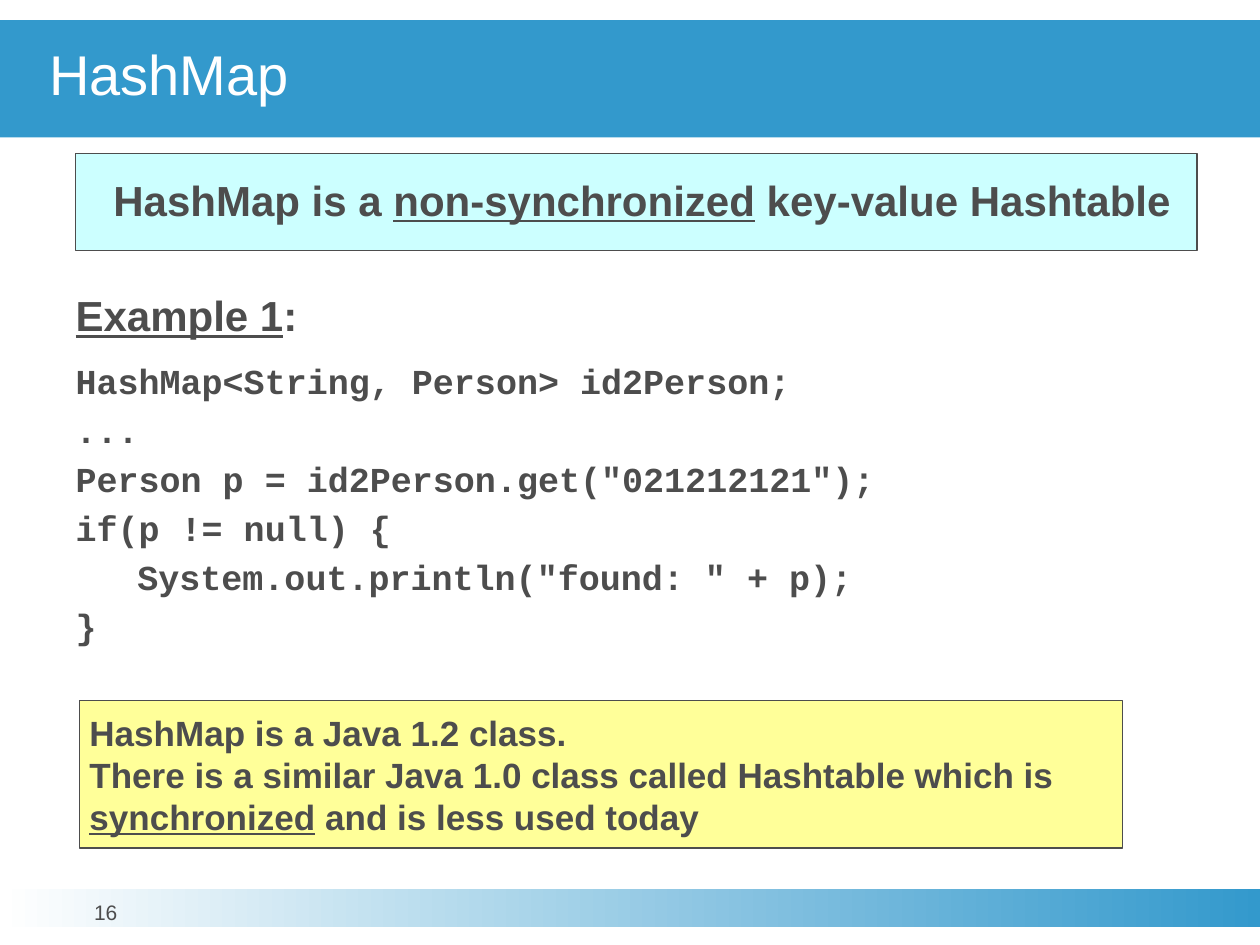
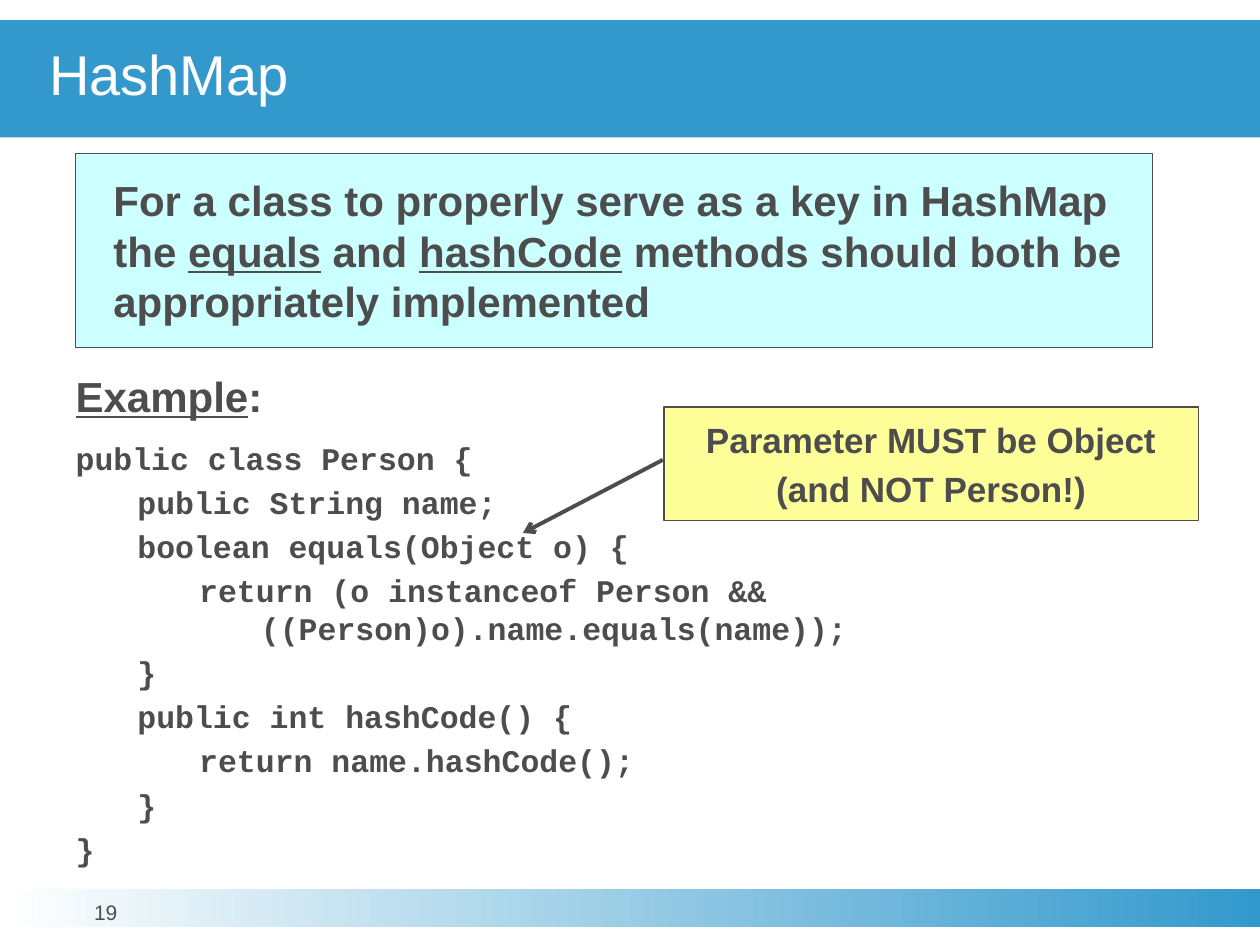
import pptx
import pptx.util
import pptx.dml.color
import pptx.enum.shapes
import pptx.enum.text
import pptx.oxml.ns
from lxml import etree

Pt = pptx.util.Pt
RGB = pptx.dml.color.RGBColor.from_string
RECT = pptx.enum.shapes.MSO_SHAPE.RECTANGLE
LINE = pptx.enum.shapes.MSO_CONNECTOR.STRAIGHT
ALIGN = pptx.enum.text.PP_ALIGN
ANCHOR = pptx.enum.text.MSO_ANCHOR
NO_FIT = pptx.enum.text.MSO_AUTO_SIZE.NONE
qn = pptx.oxml.ns.qn

COLORS = {"blue": "3399CC", "text": "4D4D4D", "white": "FFFFFF",
          "cyan": "CCFFFF", "yellow": "FFFF99"}
TAB = 35.3


def add_text(tf, text, size=20, font="Arial", color="text", bold=True, align=ALIGN.LEFT,
             before=0, level=0, spacing=None):
    p = tf.paragraphs[0]
    if p.runs:
        p = tf.add_paragraph()
    pPr = p._p.get_or_add_pPr()
    pPr.set("marL", str(Pt(level * TAB)))
    pPr.set("indent", "0")
    etree.SubElement(pPr, qn("a:buNone"))
    p.alignment = align
    p.space_before = Pt(before)
    p.line_spacing = spacing or Pt(1.2 * size)
    for i, part in enumerate(text.split("_")):
        if part:
            r = p.add_run()
            r.text = part
            r.font.name = font
            r.font.size = Pt(size)
            r.font.bold = bold
            r.font.underline = i % 2 == 1
            r.font.color.rgb = RGB(COLORS[color])


def add_box(s, box, fill, insets, anchor):
    sp = s.shapes.add_shape(RECT, *map(Pt, box))
    sp.shadow.inherit = False
    sp.fill.solid()
    sp.fill.fore_color.rgb = RGB(COLORS[fill])
    sp.line.color.rgb = RGB(COLORS["text"])
    sp.line.width = Pt(0.75)
    tf = sp.text_frame
    tf.word_wrap = True
    tf.vertical_anchor = anchor
    tf.margin_left, tf.margin_top, tf.margin_right, tf.margin_bottom = map(Pt, insets)
    return tf


SLIDES = [
    {"number": "16",
     "rule": "HashMap is a _non-synchronized_ key-value Hashtable",
     "rule_box": (43.2, 87.84, 640.8, 55.44),
     "example": "_Example 1_:",
     "body_box": (36, 162, 657.4, 226),
     "code_size": 20,
     "code": [(0, "HashMap<String, Person> id2Person;"),
              (0, "..."),
              (0, 'Person p = id2Person.get("021212121");'),
              (0, "if(p != null) {"),
              (1, 'System.out.println("found: " + p);'),
              (0, "}")],
     "note_box": (45.36, 400.32, 596.16, 84.24),
     "note": ["HashMap is a Java 1.2 class.",
              "There is a similar Java 1.0 class called Hashtable which is "
              "_synchronized_ and is less used today"],
     "note_align": ALIGN.LEFT,
     "note_gap": 0,
     "arrow": None},
    {"number": "19",
     "rule": "For a class to properly serve as a key in HashMap the _equals_ and "
             "_hashCode_ methods should both be appropriately implemented",
     "rule_box": (43.2, 87.84, 615.6, 110.88),
     "example": "_Example_:",
     "body_box": (36, 208.1, 657.4, 296),
     "code_size": 18,
     "code": [(0, "public class Person {"),
              (1, "public String name;"),
              (1, "boolean equals(Object o) {"),
              (2, "return (o instanceof Person &&"),
              (3, "((Person)o).name.equals(name));"),
              (1, "}"),
              (1, "public int hashCode() {"),
              (2, "return name.hashCode();"),
              (1, "}"),
              (0, "}")],
     "note_box": (379.44, 232.56, 305.28, 64.8),
     "note": ["Parameter MUST be Object", "(and NOT Person!)"],
     "note_align": ALIGN.CENTER,
     "note_gap": 4,
     "arrow": (378.72, 262.8, 298.8, 304.56)},
]

prs = pptx.Presentation()
prs.slide_width, prs.slide_height = Pt(720), Pt(540)

for d in SLIDES:
    s = prs.slides.add_slide(prs.slide_layouts[1])
    title, body = s.placeholders

    band = s.shapes.add_shape(RECT, Pt(0), Pt(508.3), Pt(720), Pt(21.6))
    band.shadow.inherit = False
    band.line.fill.background()
    band.fill.gradient()
    band.fill.gradient_angle = 0
    for stop, color in zip(band.fill.gradient_stops, ("white", "blue")):
        stop.color.rgb = RGB(COLORS[color])

    tf = s.shapes.add_textbox(Pt(22.3), Pt(515.5), Pt(76.3), Pt(22.3)).text_frame
    tf.word_wrap = True
    tf.margin_left = tf.margin_top = tf.margin_right = tf.margin_bottom = 0
    add_text(tf, d["number"], size=12, bold=False, align=ALIGN.CENTER, spacing=Pt(13))

    title.left, title.top, title.width, title.height = map(Pt, (0, 11.5, 720, 67))
    title.fill.solid()
    title.fill.fore_color.rgb = RGB(COLORS["blue"])
    tf = title.text_frame
    tf.auto_size = NO_FIT
    tf.vertical_anchor = ANCHOR.MIDDLE
    tf.margin_left = Pt(28)
    tf.margin_top = tf.margin_right = tf.margin_bottom = 0
    add_text(tf, "HashMap", size=32, color="white", bold=False, spacing=0.85)

    body.left, body.top, body.width, body.height = map(Pt, d["body_box"])
    tf = body.text_frame
    tf.auto_size = NO_FIT
    add_text(tf, d["example"], size=24)
    size = d["code_size"]
    for i, (level, code) in enumerate(d["code"]):
        gap = 0 if level == 3 else 0.2 * size
        add_text(tf, code, size=size, font="Courier New", level=level,
                 before=gap + 6.8 if i == 0 else gap)

    tf = add_box(s, d["rule_box"], "cyan", (21.6, 12, 0, 0), ANCHOR.TOP)
    add_text(tf, d["rule"], size=24)

    tf = add_box(s, d["note_box"], "yellow", (5.76,) * 4, ANCHOR.MIDDLE)
    for i, line in enumerate(d["note"]):
        add_text(tf, line, align=d["note_align"], before=d["note_gap"] if i else 0)

    if d["arrow"]:
        arrow = s.shapes.add_connector(LINE, *map(Pt, d["arrow"]))
        arrow.line.color.rgb = RGB(COLORS["text"])
        arrow.line.width = Pt(2.25)
        etree.SubElement(arrow.line._get_or_add_ln(), qn("a:tailEnd"), type="arrow")
        etree.SubElement(arrow._element.spPr, qn("a:effectLst"))

prs.save("out.pptx")
